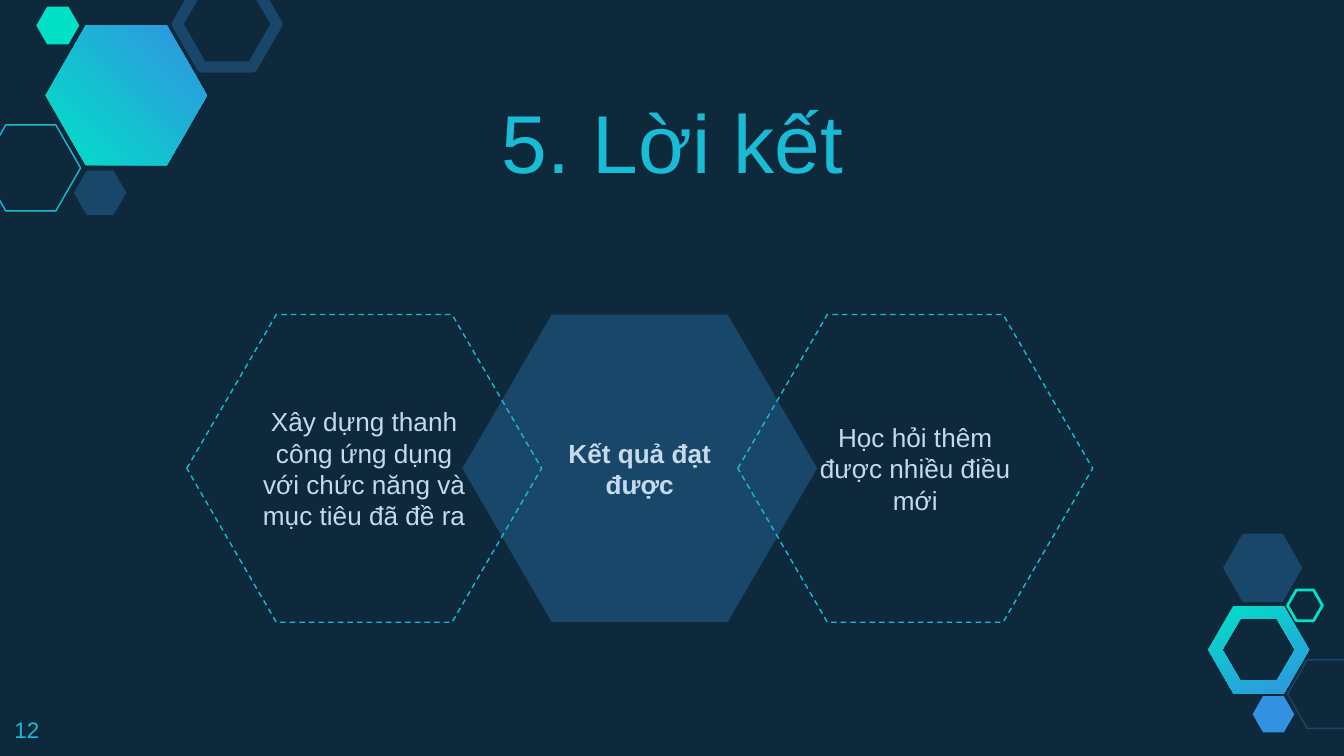
from pptx import Presentation
from pptx.dml.color import RGBColor
from pptx.enum.dml import MSO_LINE
from pptx.enum.shapes import MSO_SHAPE
from pptx.enum.text import MSO_ANCHOR, PP_ALIGN
from pptx.util import Inches, Pt

HEXAGON = MSO_SHAPE.HEXAGON
DASH = MSO_LINE.DASH
TOP, MIDDLE, BOTTOM = MSO_ANCHOR.TOP, MSO_ANCHOR.MIDDLE, MSO_ANCHOR.BOTTOM
LEFT, CENTER = PP_ALIGN.LEFT, PP_ALIGN.CENTER

NIGHT = RGBColor(0x0E, 0x29, 0x3C)
NAVY = RGBColor(0x18, 0x47, 0x69)
CYAN = RGBColor(0x19, 0xBB, 0xD5)
MINT = RGBColor(0x00, 0xE1, 0xC6)
BLUE = RGBColor(0x32, 0x92, 0xE1)
PALE = RGBColor(0xC6, 0xDA, 0xEC)

TITLE = "5. Lời kết"
PAGE_NUMBER = "12"
CONCLUSIONS = [
    (1, "Kết quả đạt được", True),
    (0, "Xây dựng thanh công ứng dụng với chức năng và mục tiêu đã đề ra", False),
    (2, "Học hỏi thêm được nhiều điều mới", False),
]
OUTLINED_HEXAGONS = [
    (-0.14, 0.93, 0.74, 0.64, CYAN, 0.75),
    (1.32, -0.14, 0.74, 0.64, NAVY, 6),
    (9.58, 4.91, 0.59, 0.51, NAVY, 0.75),
    (9.58, 4.39, 0.26, 0.23, MINT, 1.5),
]
FILLED_HEXAGONS = [
    (0.55, 1.27, 0.39, 0.33, NAVY),
    (0.27, 0.05, 0.32, 0.28, MINT),
    (9.32, 5.18, 0.31, 0.27, BLUE),
    (9.1, 3.97, 0.59, 0.51, NAVY),
]
GRADIENT_HEXAGON = (0.34, 0.19, 1.2, 1.04)
RING_CENTER = (9.365, 4.835)
RING_RADII = [(0.375, 0.325), (0.27, 0.23)]
ROW_LEFT, ROW_TOP, COLUMN_STEP = 1.39, 2.34, 2.05
CARD_WIDTH, CARD_HEIGHT = 2.64, 2.29

prs = Presentation()
prs.slide_width, prs.slide_height = Inches(10), Inches(5.625)
slide = prs.slides.add_slide(prs.slide_layouts[6])
slide.background.fill.solid()
slide.background.fill.fore_color.rgb = NIGHT


def paint(shape, fill=None, line=None, width=0.75):
    shape.shadow.inherit = False
    if fill is None:
        shape.fill.background()
    else:
        shape.fill.solid()
        shape.fill.fore_color.rgb = fill
    if line is None:
        shape.line.fill.background()
    else:
        shape.line.color.rgb = line
        shape.line.width = Pt(width)


def paint_gradient(shape, angle):
    paint(shape)
    shape.fill.gradient()
    shape.fill.gradient_angle = angle
    for stop, color, position in zip(shape.fill.gradient_stops, (MINT, BLUE), (0, 1)):
        stop.color.rgb = color
        stop.position = position


def add_hexagon(left, top, width, height, adjustment=0.287):
    hexagon = slide.shapes.add_shape(
        HEXAGON, Inches(left), Inches(top), Inches(width), Inches(height))
    hexagon.adjustments[0] = adjustment
    return hexagon


def write(shape, text, size, color, align, anchor, bold=False):
    frame = shape.text_frame
    frame.word_wrap = True
    frame.vertical_anchor = anchor
    frame.margin_left = frame.margin_right = Inches(0.1)
    frame.margin_top = frame.margin_bottom = Inches(0.1)
    paragraph = frame.paragraphs[0]
    paragraph.text = text
    paragraph.alignment = align
    font = paragraph.font
    font.name, font.size, font.bold = "Arial", Pt(size), bold
    font.color.rgb = color


def add_label(left, top, width, height, *style):
    label = slide.shapes.add_textbox(
        Inches(left), Inches(top), Inches(width), Inches(height))
    write(label, *style)


def ring_corners(radius_x, radius_y):
    x, y = RING_CENTER
    shares = [(-1, 0), (-0.5, -1), (0.5, -1), (1, 0), (0.5, 1), (-0.5, 1)]
    return [(Inches(x + i * radius_x), Inches(y + j * radius_y)) for i, j in shares]


outer, inner = (ring_corners(*radii) for radii in RING_RADII)
inner.reverse()
builder = slide.shapes.build_freeform(*outer[0])
builder.add_line_segments(outer[1:], close=True)
builder.move_to(*inner[0])
builder.add_line_segments(inner[1:], close=True)
paint_gradient(builder.convert_to_shape(), 296)

paint_gradient(add_hexagon(*GRADIENT_HEXAGON), 45)
for *box, color, width in OUTLINED_HEXAGONS:
    paint(add_hexagon(*box), line=color, width=width)
for *box, color in FILLED_HEXAGONS:
    paint(add_hexagon(*box), fill=color)

for column, text, highlighted in CONCLUSIONS:
    card = add_hexagon(
        ROW_LEFT + column * COLUMN_STEP, ROW_TOP, CARD_WIDTH, CARD_HEIGHT, 0.291)
    if highlighted:
        paint(card, fill=NAVY)
    else:
        paint(card, line=CYAN)
        card.line.dash_style = DASH
    write(card, text, 14, PALE, CENTER, MIDDLE, highlighted)

add_label(2.3, 0.49, 5.41, 1.02, TITLE, 44, CYAN, CENTER, BOTTOM)
add_label(0.01, 5.23, 0.6, 0.39, PAGE_NUMBER, 12, CYAN, LEFT, TOP)

prs.save("out.pptx")
